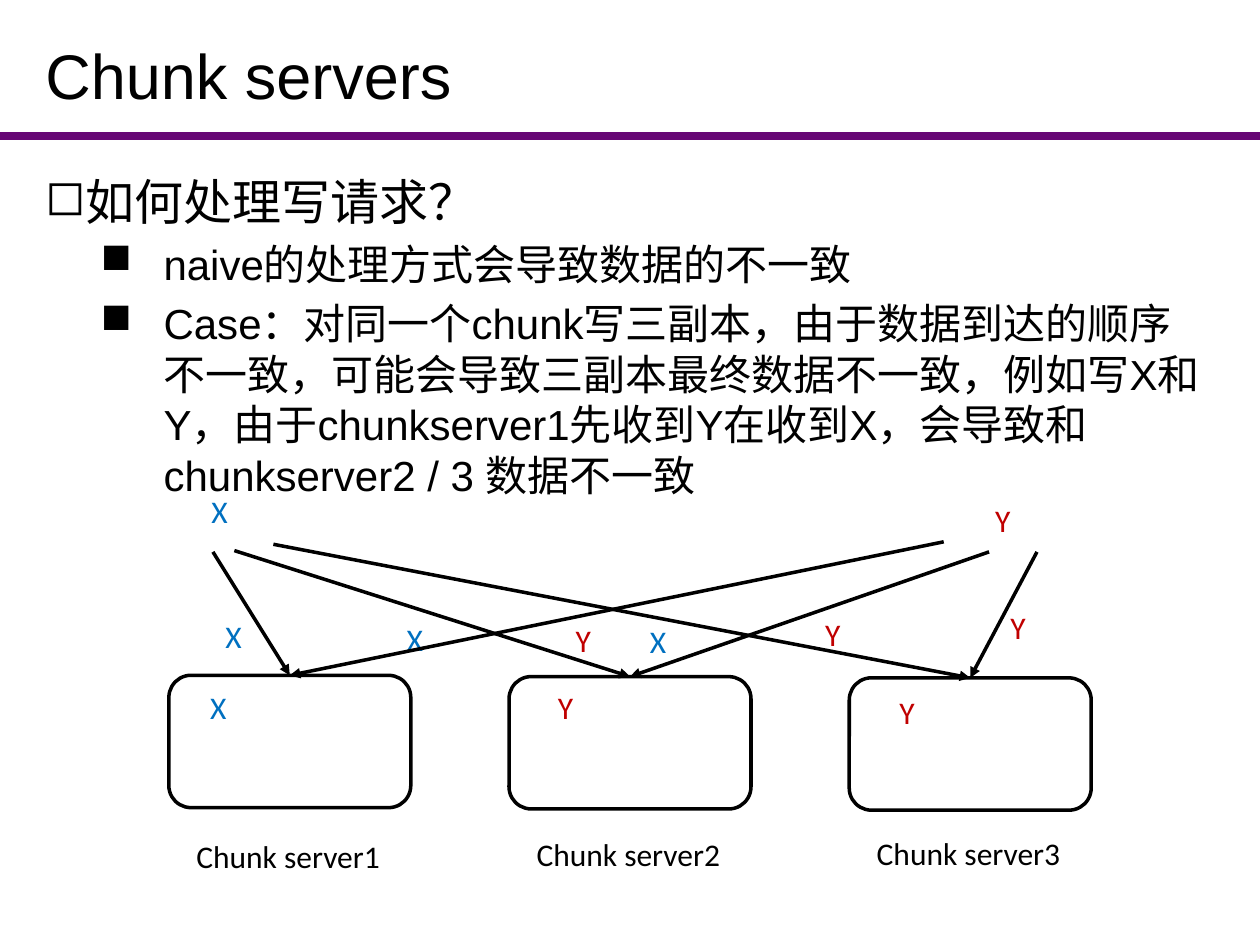
from dataclasses import dataclass

from lxml.etree import SubElement
from pptx import Presentation
from pptx.dml.color import RGBColor
from pptx.enum.shapes import MSO_CONNECTOR as Connector, MSO_SHAPE as Shape
from pptx.enum.text import MSO_ANCHOR as Anchor, PP_ALIGN as Align
from pptx.oxml.ns import qn
from pptx.util import Inches, Pt


@dataclass(frozen=True)
class Theme:
    ink: str = "000000"
    paper: str = "FFFFFF"
    rule: str = "670775"
    x: str = "0070C0"
    y: str = "C00000"
    main_font: str = "Arial"
    label_font: str = "Calibri"
    title_size: int = 36
    question_size: int = 28
    point_size: int = 24
    label_size: int = 18
    rule_width: float = 4.5
    line_width: float = 2


THEME = Theme()
SERVER_WIDTH, SERVER_HEIGHT, SERVER_PITCH = 1.92, 1.05, 2.7


def color(value):
    return RGBColor.from_string(value)


def write(paragraph, text, *, size, font=THEME.main_font, ink=THEME.ink,
          bullet=None, margin=0, hanging=0, before=0, spacing=None):
    paragraph.alignment = Align.LEFT
    paragraph.space_before = Pt(before)
    if spacing:
        paragraph.line_spacing = spacing
    if bullet:
        properties = paragraph._p.get_or_add_pPr()
        properties.set("marL", str(Inches(margin)))
        properties.set("indent", str(-Inches(hanging)))
        SubElement(properties, qn("a:buChar")).set("char", bullet)
    run = paragraph.add_run()
    run.text = text
    run.font.size = Pt(size)
    run.font.name = font
    run.font.color.rgb = color(ink)


def draw_line(slide, start, end, *, ink=THEME.ink, width=THEME.line_width, arrow=False):
    line = slide.shapes.add_connector(
        Connector.STRAIGHT, *(Inches(v) for v in (*start, *end)))
    line.line.color.rgb = color(ink)
    line.line.width = Pt(width)
    if arrow:
        SubElement(line.line._get_or_add_ln(), qn("a:tailEnd")).set("type", "triangle")
    SubElement(line._element.spPr, qn("a:effectLst"))


def add_label(slide, text, left, top, width=0.33, ink=THEME.ink):
    label = slide.shapes.add_textbox(*(Inches(v) for v in (left, top, width, 0.4)))
    label.text_frame.word_wrap = False
    write(label.text_frame.paragraphs[0], text, size=THEME.label_size,
          font=THEME.label_font, ink=ink)


def add_header(slide, left, top, width, height):
    draw_line(slide, (0, 1.08), (10, 1.08), ink=THEME.rule, width=THEME.rule_width)
    title = slide.shapes.title
    title.left, title.top, title.width, title.height = (
        Inches(v) for v in (left, top, width, height))
    title.text_frame.vertical_anchor = Anchor.MIDDLE
    write(title.text_frame.paragraphs[0], "Chunk servers",
          size=THEME.title_size, spacing=0.9)


def add_explanation(slide, left, top, width, height):
    frame = slide.shapes.add_textbox(
        *(Inches(v) for v in (left, top, width, height))).text_frame
    frame.word_wrap = True
    write(frame.paragraphs[0], "如何处理写请求？", size=THEME.question_size,
          bullet="◻", margin=0.25, hanging=0.25)
    points = [
        "naive的处理方式会导致数据的不一致",
        "Case：对同一个chunk写三副本，由于数据到达的顺序不一致，"
        "可能会导致三副本最终数据不一致，例如写X和Y，"
        "由于chunkserver1先收到Y在收到X，会导致和chunkserver2 / 3 数据不一致",
    ]
    for point in points:
        paragraph = frame.add_paragraph()
        paragraph.level = 1
        write(paragraph, point, size=THEME.point_size,
              bullet="■", margin=0.94, hanging=0.5, before=5)


def add_servers(slide, left, top):
    entries = []
    for index in range(3):
        x, y = left + index * SERVER_PITCH, top + index * 0.01
        server = slide.shapes.add_shape(
            Shape.ROUNDED_RECTANGLE,
            *(Inches(v) for v in (x, y, SERVER_WIDTH, SERVER_HEIGHT)))
        server.shadow.inherit = False
        server.fill.solid()
        server.fill.fore_color.rgb = color(THEME.paper)
        server.line.color.rgb = color(THEME.ink)
        server.line.width = Pt(THEME.line_width)
        add_label(slide, f"Chunk server{index + 1}", x + 0.12,
                  top + 1.23 - index * 0.01, width=1.68)
        entries.append((x + SERVER_WIDTH / 2, y))
    return entries


def add_writes(slide, letter, ink, starts, entries, spots):
    for start, entry in zip(starts, entries):
        draw_line(slide, start, entry, arrow=True)
    for left, top in spots:
        add_label(slide, letter, left, top, ink=ink)


def main():
    deck = Presentation()
    deck.slide_width, deck.slide_height = Inches(10), Inches(7.5)
    slide = deck.slides.add_slide(deck.slide_layouts[5])
    add_header(slide, 0.26, 0.18, 9.47, 0.89)
    add_explanation(slide, 0.26, 1.31, 9.47, 5.58)
    entries = add_servers(slide, 1.34, 5.36)
    add_writes(slide, "X", THEME.x, [(1.69, 4.38), (1.86, 4.37), (2.17, 4.32)], entries,
               [(1.58, 3.86), (1.69, 4.85), (3.13, 4.87), (5.06, 4.89), (1.57, 5.41)])
    add_writes(slide, "Y", THEME.y, [(7.49, 4.3), (7.85, 4.38), (8.23, 4.38)], entries,
               [(7.8, 3.93), (4.47, 4.88), (6.45, 4.83), (7.92, 4.78),
                (4.33, 5.41), (7.04, 5.45)])
    deck.save("out.pptx")


if __name__ == "__main__":
    main()
